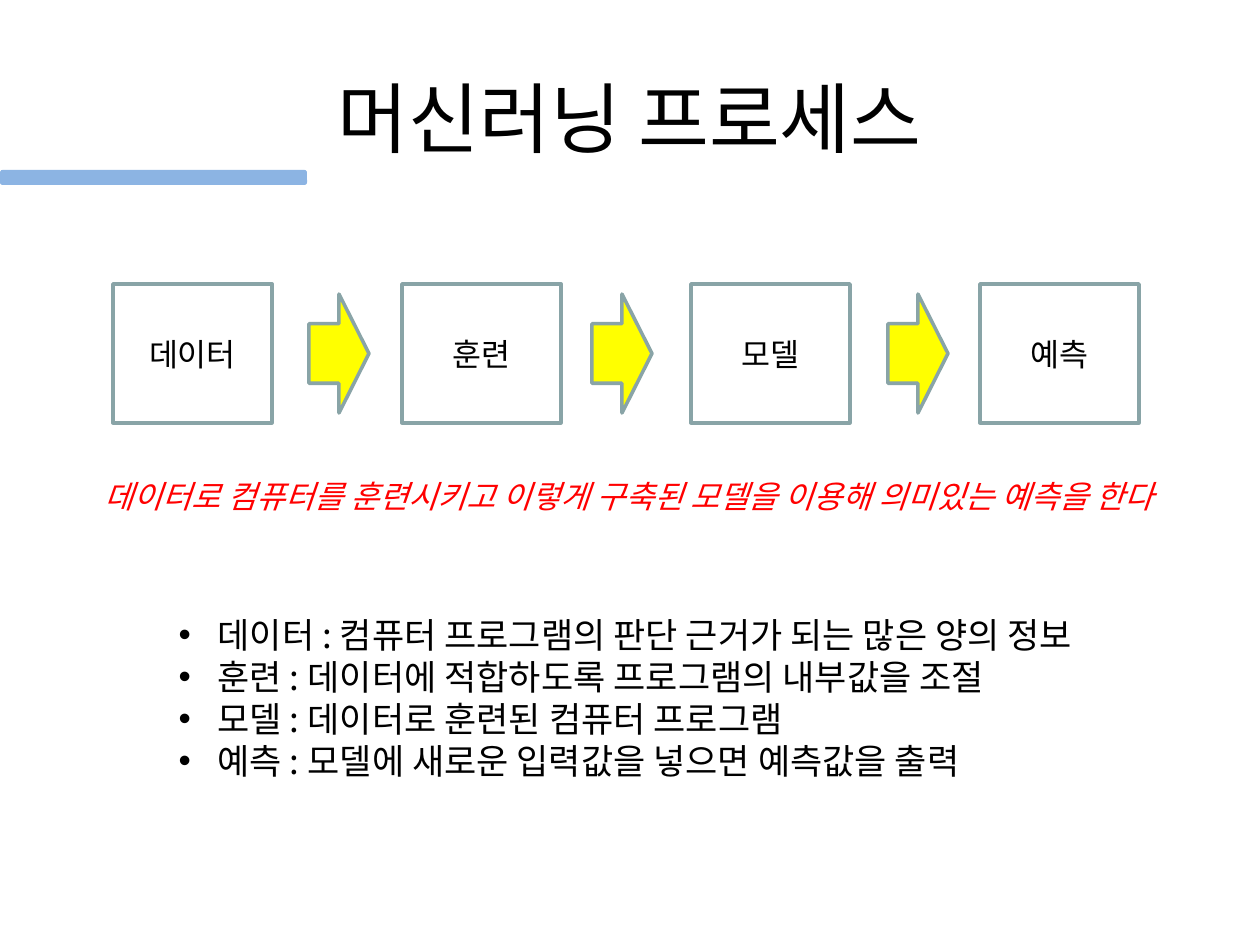
from lxml.etree import SubElement
from pptx import Presentation
from pptx.dml.color import RGBColor
from pptx.enum.shapes import MSO_SHAPE
from pptx.enum.text import MSO_ANCHOR, PP_ALIGN
from pptx.oxml.ns import qn
from pptx.util import Emu, Pt

PX = 914400 / 126
FONT = "Noto Sans CJK KR"
BLACK = RGBColor(0x00, 0x00, 0x00)
WHITE = RGBColor(0xFF, 0xFF, 0xFF)
RED = RGBColor(0xFF, 0x00, 0x00)
YELLOW = RGBColor(0xFF, 0xFF, 0x00)
BLUE = RGBColor(0x8C, 0xB4, 0xE3)
GRAY = RGBColor(0x89, 0xA4, 0xA7)


def box(*lengths):
    return [Emu(round(length * PX)) for length in lengths]


def format_text(paragraph, size, color=BLACK):
    font = paragraph.font
    font.size = Pt(size)
    font.color.rgb = color
    font.name = FONT
    properties = paragraph._p.pPr.find(qn("a:defRPr"))
    SubElement(properties, qn("a:ea")).set("typeface", FONT)


presentation = Presentation()
presentation.slide_width, presentation.slide_height = box(1260, 945)
slide = presentation.slides.add_slide(presentation.slide_layouts[1])
shapes = slide.shapes

# Title
title = shapes.title
title.left, title.top, title.width, title.height = box(63, 38, 1134, 157)
title.text_frame.text = "머신러닝 프로세스"
title.text_frame.vertical_anchor = MSO_ANCHOR.MIDDLE
title.text_frame.paragraphs[0].alignment = PP_ALIGN.CENTER
format_text(title.text_frame.paragraphs[0], 44)

# Accent bar
bar = shapes.add_shape(MSO_SHAPE.ROUNDED_RECTANGLE, *box(0, 170, 307, 15))
bar.shadow.inherit = False
bar.fill.solid()
bar.fill.fore_color.rgb = BLUE
bar.line.fill.background()

# Process steps and the arrows between them
steps = [(MSO_SHAPE.RECTANGLE, (113 + 289 * index, 284, 159, 139), WHITE, label)
         for index, label in enumerate(["데이터", "훈련", "모델", "예측"])]
arrows = [(MSO_SHAPE.RIGHT_ARROW, (left, 294, 60, 119), YELLOW, "")
          for left in (309, 592, 888)]
for kind, place, color, label in steps + arrows:
    shape = shapes.add_shape(kind, *box(*place))
    shape.shadow.inherit = False
    shape.fill.solid()
    shape.fill.fore_color.rgb = color
    shape.line.color.rgb = GRAY
    shape.line.width = Pt(2)
    if label:
        shape.text_frame.text = label
        shape.text_frame.vertical_anchor = MSO_ANCHOR.MIDDLE
        shape.text_frame.paragraphs[0].alignment = PP_ALIGN.CENTER
        format_text(shape.text_frame.paragraphs[0], 18)

# Definitions
definitions = [
    "데이터 : 컴퓨터 프로그램의 판단 근거가 되는 많은 양의 정보",
    "훈련 : 데이터에 적합하도록 프로그램의 내부값을 조절",
    "모델 : 데이터로 훈련된 컴퓨터 프로그램",
    "예측 : 모델에 새로운 입력값을 넣으면 예측값을 출력",
]
body = slide.placeholders[1]
body.left, body.top, body.width, body.height = box(166, 607, 953, 181)
body.text_frame.word_wrap = False
body.text_frame.text = "\n".join(definitions)
for paragraph in body.text_frame.paragraphs:
    properties = paragraph._p.get_or_add_pPr()
    indent = box(39)[0]
    properties.set("marL", str(indent))
    properties.set("indent", str(-indent))
    SubElement(properties, qn("a:buFont")).set("typeface", "Arial")
    SubElement(properties, qn("a:buChar")).set("char", "•")
    paragraph.space_before = Pt(0)
    paragraph.line_spacing = Pt(24)
    format_text(paragraph, 20)

# Summary sentence
summary = shapes.add_textbox(*box(92, 470, 1090, 50))
summary.text_frame.word_wrap = False
summary.text_frame.text = "데이터로 컴퓨터를 훈련시키고 이렇게 구축된 모델을 이용해 의미있는 예측을 한다"
paragraph = summary.text_frame.paragraphs[0]
paragraph.line_spacing = Pt(22)
format_text(paragraph, 18, RED)
paragraph.font.italic = True

presentation.save("out.pptx")
